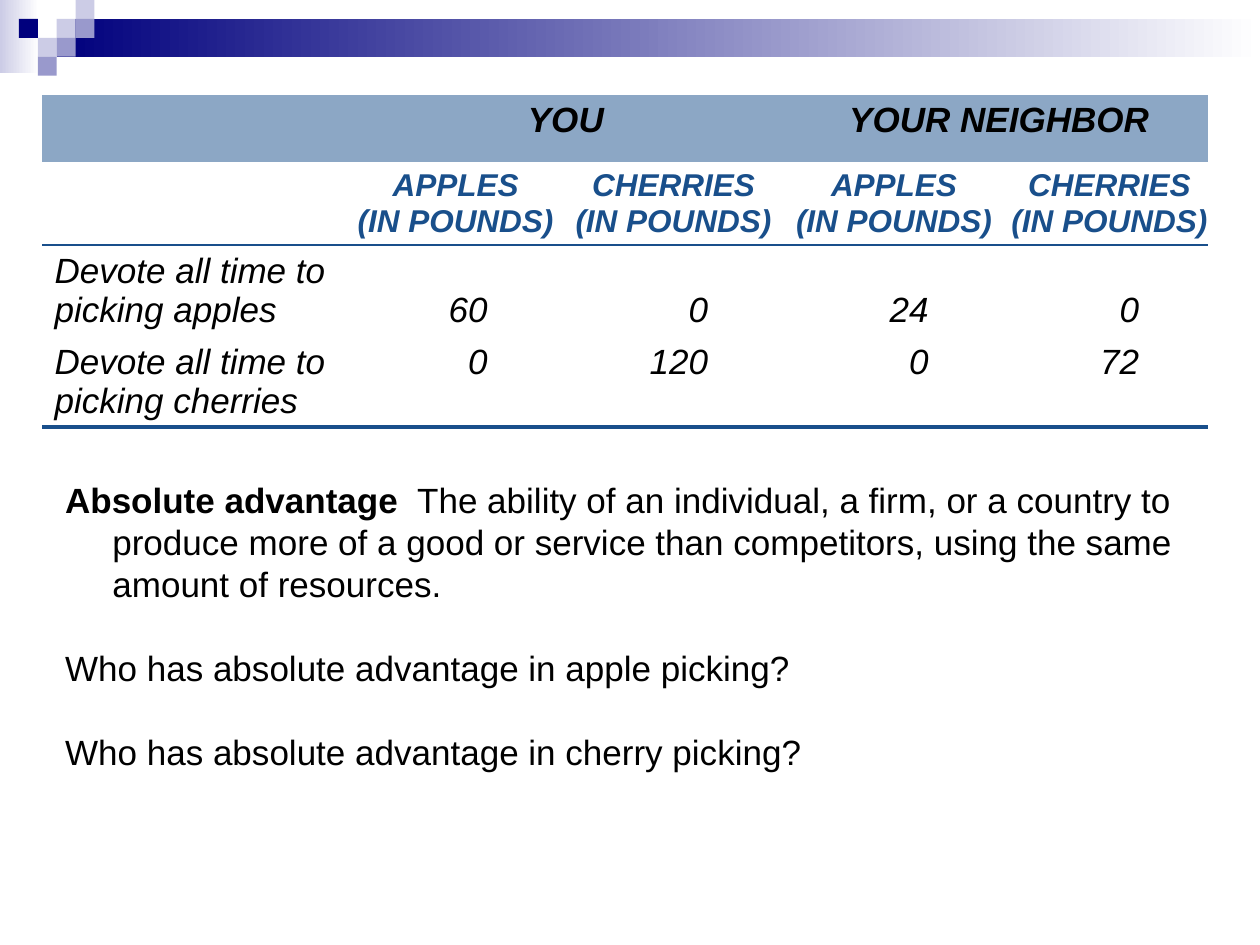
"""Build a slide comparing apple and cherry picking, with absolute advantage defined."""
from lxml import etree
from pptx import Presentation
from pptx.dml.color import RGBColor
from pptx.enum import shapes, text
from pptx.oxml import ns
from pptx.util import Pt

NAVY = RGBColor(0x00, 0x00, 0x7D)
LAVENDER = RGBColor(0xCC, 0xCC, 0xE6)
VIOLET = RGBColor(0x99, 0x99, 0xCC)
WHITE = RGBColor(0xFF, 0xFF, 0xFF)
BLACK = RGBColor(0x00, 0x00, 0x00)
BLUE = RGBColor(0x19, 0x4F, 0x8B)
PALE_BLUE = RGBColor(0x8C, 0xA7, 0xC5)

NO_STYLE = "{2D5ABB26-0587-4C30-8999-92F81FD0307C}"
CENTER, LEFT, RIGHT = text.PP_ALIGN.CENTER, text.PP_ALIGN.LEFT, text.PP_ALIGN.RIGHT
UNIT = 10.8
SQUARES = [(3, 1, LAVENDER), (4, 0, LAVENDER), (4, 1, VIOLET), (2, 2, LAVENDER),
           (1, 1, NAVY), (3, 2, VIOLET), (2, 3, VIOLET)]
COLUMNS = [171.2, 123.1, 126, 126, 120.2]
ROWS = [38.4, 47.5, 52, 52]
GROUPS = [(1, "YOU"), (3, "YOUR NEIGHBOR")]
UNITS = ["APPLES\v(IN POUNDS)", "CHERRIES\v(IN POUNDS)"] * 2
HARVEST = [("Devote all time to picking apples", text.MSO_ANCHOR.BOTTOM, [60, 0, 24, 0]),
           ("Devote all time to picking cherries", text.MSO_ANCHOR.TOP, [0, 120, 0, 72])]
PARAGRAPHS = [
    [("Absolute advantage", True),
     ("  The ability of an individual, a firm, or a country to produce more of a good "
      "or service than competitors, using the same amount of resources.", False)],
    [("Who has absolute advantage in apple picking?", False)],
    [("Who has absolute advantage in cherry picking?", False)],
]


class Deck:
    """Holds the style and the current slide."""

    def __init__(self, font="Arial", size=20):
        self.font, self.size = font, size
        self.prs = Presentation()
        self.prs.slide_width, self.prs.slide_height = Pt(720), Pt(540)
        self.s = self.prs.slides.add_slide(self.prs.slide_layouts[1])
        title = self.s.shapes.title._element
        title.getparent().remove(title)

    def format(self, r, color=BLACK, size=None, bold=False, italic=False):
        r.font.name, r.font.size = self.font, Pt(size or self.size)
        r.font.bold, r.font.italic = bold, italic
        r.font.color.rgb = color

    def rect(self, x, y, w, h, *colors):
        sp = self.s.shapes.add_shape(shapes.MSO_SHAPE.RECTANGLE, Pt(x), Pt(y), Pt(w), Pt(h))
        sp.shadow.inherit = False
        sp.line.fill.background()
        if len(colors) == 1:
            sp.fill.solid()
            sp.fill.fore_color.rgb = colors[0]
        else:
            sp.fill.gradient()
            sp.fill.gradient_angle = 0
            for stop, color in zip(sp.fill.gradient_stops, colors):
                stop.color.rgb = color

    def table(self, x, y, columns, rows):
        frame = self.s.shapes.add_table(len(rows), len(columns), Pt(x), Pt(y),
                                        Pt(sum(columns)), Pt(sum(rows)))
        t = frame.table
        t.first_row = t.horz_banding = False
        t._tbl.tblPr.find(ns.qn("a:tableStyleId")).text = NO_STYLE
        for column, width in zip(t.columns, columns):
            column.width = Pt(width)
        for row, height in zip(t.rows, rows):
            row.height = Pt(height)
        return t

    def cell(self, cell, words, align, right=0, anchor=text.MSO_ANCHOR.TOP, **style):
        cell.margin_right = Pt(right)
        cell.vertical_anchor = anchor
        p = cell.text_frame.paragraphs[0]
        p.text = words
        p.alignment = align
        for r in p.runs:
            self.format(r, italic=True, **style)

    def rule(self, t, row, width):
        for cell in t.rows[row].cells:
            ln = etree.Element(ns.qn("a:lnB"), w=str(Pt(width)))
            fill = etree.SubElement(ln, ns.qn("a:solidFill"))
            etree.SubElement(fill, ns.qn("a:srgbClr"), val=str(BLUE))
            cell._tc.get_or_add_tcPr().insert(0, ln)

    def body(self, x, y, w, h, paragraphs, indent=27, line=24):
        sp = self.s.placeholders[1]
        sp.left, sp.top, sp.width, sp.height = Pt(x), Pt(y), Pt(w), Pt(h)
        tf = sp.text_frame
        tf.auto_size = text.MSO_AUTO_SIZE.NONE
        for i, runs in enumerate(paragraphs):
            p = tf.add_paragraph() if i else tf.paragraphs[0]
            p.line_spacing = Pt(line)
            p.space_before = Pt(line if i else 0)
            pPr = p._p.get_or_add_pPr()
            pPr.set("marL", str(Pt(indent)))
            pPr.set("indent", str(-Pt(indent)))
            etree.SubElement(pPr, ns.qn("a:buNone"))
            for words, bold in runs:
                r = p.add_run()
                r.text = words
                self.format(r, bold=bold)


def main():
    deck = Deck()
    deck.rect(0, 0, 22.3, 41.8, LAVENDER, WHITE)
    deck.rect(32.4, UNIT, 687.6, 2 * UNIT, NAVY, WHITE)
    for column, row, color in SQUARES:
        deck.rect(column * UNIT, row * UNIT, UNIT, UNIT, color)

    t = deck.table(24, 54.2, COLUMNS, ROWS)
    for cell in t.rows[0].cells:
        cell.fill.solid()
        cell.fill.fore_color.rgb = PALE_BLUE
    for column, words in GROUPS:
        t.cell(0, column).merge(t.cell(0, column + 1))
        deck.cell(t.cell(0, column), words, CENTER, bold=True)
    for column, words in enumerate(UNITS, 1):
        deck.cell(t.cell(1, column), words, CENTER, color=BLUE, size=18, bold=True)
    for row, (task, anchor, pounds) in enumerate(HARVEST, 2):
        deck.cell(t.cell(row, 0), task, LEFT)
        for column, value in enumerate(pounds, 1):
            deck.cell(t.cell(row, column), str(value), RIGHT, right=39.6, anchor=anchor)
    deck.rule(t, 1, 1)
    deck.rule(t, 3, 2.25)

    deck.body(30, 270, 648, 240, PARAGRAPHS)
    deck.prs.save("out.pptx")


if __name__ == "__main__":
    main()
